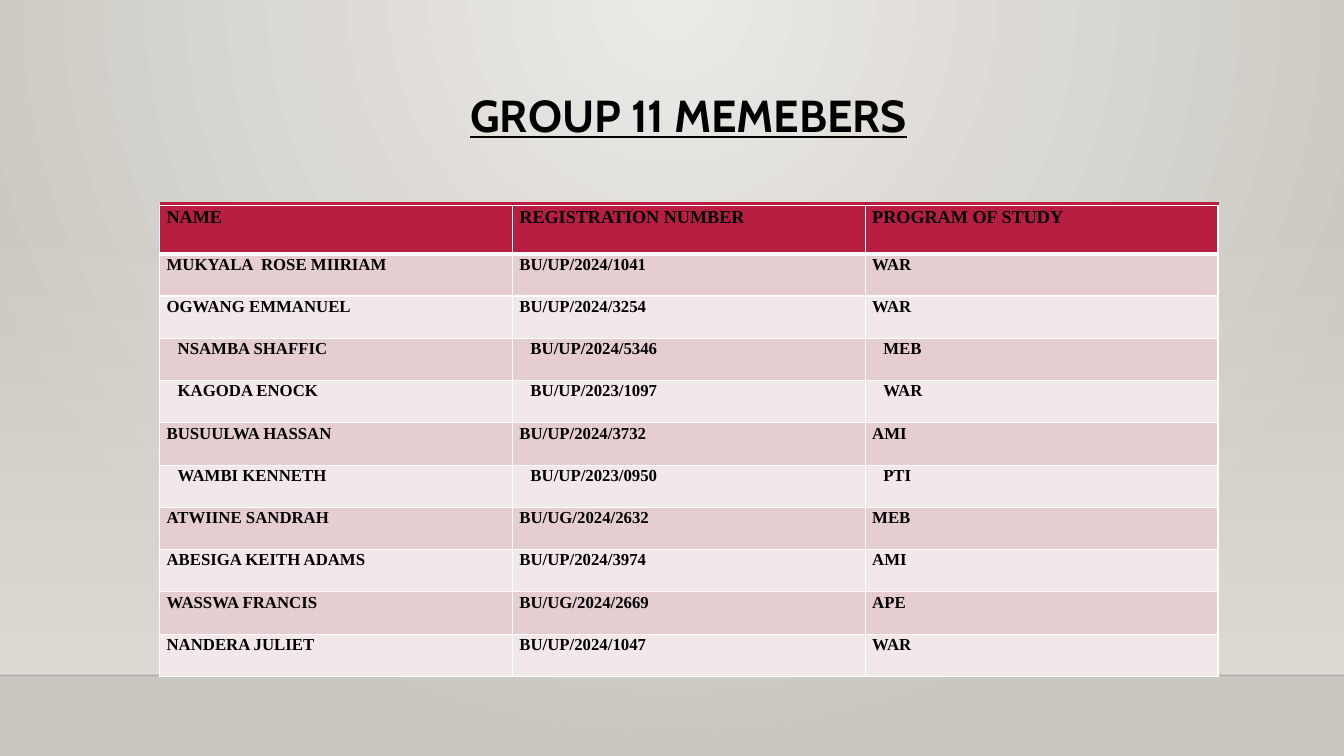
from dataclasses import dataclass

from lxml.etree import SubElement
from pptx import Presentation
from pptx.dml.color import RGBColor
from pptx.enum.shapes import MSO_CONNECTOR, MSO_SHAPE
from pptx.enum.text import MSO_ANCHOR, PP_ALIGN
from pptx.oxml.ns import qn
from pptx.util import Pt


@dataclass(frozen=True)
class Theme:
    """Colours, fonts and type sizes of the deck."""
    ink: str = "000000"
    accent: str = "B71E42"
    border: str = "FFFFFF"
    bands: tuple = ("E6CDCF", "F3E8E9")
    glow: str = "ECEAE7"
    edge: str = "CAC7C1"
    wall: str = "DFDBD5"
    floor_line: str = "000001"
    title_font: str = "Cabin"
    table_font: str = "Times New Roman"
    title_size: float = 32
    header_size: float = 13
    body_size: float = 12


@dataclass(frozen=True)
class Box:
    """A rectangle in points."""
    left: float
    top: float
    width: float
    height: float

    def lengths(self):
        """Return the four sides as lengths."""
        return Pt(self.left), Pt(self.top), Pt(self.width), Pt(self.height)


THEME = Theme()
PAGE = Box(0, 0, 960, 540)
WALL = Box(0, 159, 960, 323.4)
TITLE = Box(114, 63.4, 756, 83.5)
TABLE = Box(114, 146.9, 756, 336.4)
HEADER_HEIGHT = 34.4
HEADINGS = ("NAME", "REGISTRATION NUMBER", "PROGRAM OF STUDY")
MEMBERS = (
    ("MUKYALA  ROSE MIIRIAM", "BU/UP/2024/1041", "WAR"),
    ("OGWANG EMMANUEL", "BU/UP/2024/3254", "WAR"),
    ("NSAMBA SHAFFIC", "BU/UP/2024/5346", "MEB"),
    ("KAGODA ENOCK", "BU/UP/2023/1097", "WAR"),
    ("BUSUULWA HASSAN", "BU/UP/2024/3732", "AMI"),
    ("WAMBI KENNETH", "BU/UP/2023/0950", "PTI"),
    ("ATWIINE SANDRAH", "BU/UG/2024/2632", "MEB"),
    ("ABESIGA KEITH ADAMS", "BU/UP/2024/3974", "AMI"),
    ("WASSWA FRANCIS", "BU/UG/2024/2669", "APE"),
    ("NANDERA JULIET", "BU/UP/2024/1047", "WAR"),
)
INDENTED_ROWS = (3, 4, 6)


def color(value):
    """Turn a hex value into a colour."""
    return RGBColor.from_string(value)


def set_alpha(element, percent):
    """Set the opacity of the first colour inside an element."""
    SubElement(element.find(".//" + qn("a:srgbClr")), qn("a:alpha"), val=str(percent * 1000))


def set_gradient(fill, first, last):
    """Give a fill a gradient of two colours."""
    fill.gradient()
    for stop, position, value in zip(fill.gradient_stops, (0, 1), (first, last)):
        stop.position = position
        stop.color.rgb = color(value)


def style_font(font, name, size):
    """Apply the bold ink type style."""
    font.name, font.size, font.bold = name, Pt(size), True
    font.color.rgb = color(THEME.ink)


def add_rule(page, left, top, width, value, weight):
    """Draw a horizontal line and return it."""
    rule = page.shapes.add_connector(
        MSO_CONNECTOR.STRAIGHT, Pt(left), Pt(top), Pt(left + width), Pt(top))
    rule.line.color.rgb = color(value)
    rule.line.width = Pt(weight)
    SubElement(rule.element.spPr, qn("a:effectLst"))
    return rule


def add_backdrop(page, box):
    """Paint the round glow, the wall in the box and the floor line."""
    set_gradient(page.background.fill, THEME.glow, THEME.edge)
    gradient = page.element.find(".//" + qn("a:gradFill"))
    gradient.remove(gradient.find(qn("a:lin")))
    circle = SubElement(gradient, qn("a:path"), {"path": "circle"})
    SubElement(circle, qn("a:fillToRect"), l="43000", t="0", r="43000", b="100000")

    wall = page.shapes.add_shape(MSO_SHAPE.RECTANGLE, *box.lengths())
    wall.shadow.inherit = False
    wall.line.fill.background()
    set_gradient(wall.fill, THEME.wall, THEME.wall)
    wall.fill.gradient_angle = 270
    set_alpha(wall.element.spPr, 0)

    floor = add_rule(page, box.left, box.top + box.height, box.width, THEME.floor_line, 1)
    set_alpha(floor.element.spPr, 20)


def add_title(page, box, text):
    """Write the underlined title and the accent rule below it."""
    add_rule(page, box.left + 0.5, box.top + box.height - 1.5, box.width, THEME.accent, 2.5)
    frame = page.shapes.add_textbox(*box.lengths()).text_frame
    frame.word_wrap = True
    frame.vertical_anchor = MSO_ANCHOR.TOP
    para = frame.paragraphs[0]
    para.text = text
    para.alignment = PP_ALIGN.CENTER
    para.line_spacing = 0.9
    style_font(para.font, THEME.title_font, THEME.title_size)
    para.font.underline = True


def set_borders(cell, weights):
    """Draw the borders of a cell from weights by side."""
    properties = cell._tc.get_or_add_tcPr()
    for side, weight in weights.items():
        line = SubElement(properties, qn(f"a:ln{side}"), w=str(Pt(weight)))
        SubElement(SubElement(line, qn("a:solidFill")), qn("a:srgbClr"), val=THEME.border)


def fill_cell(cell, text, row):
    """Write and style one cell according to its row."""
    header = row == 0
    cell.margin_left = cell.margin_right = Pt(5)
    cell.margin_top = cell.margin_bottom = 0
    set_borders(cell, {"L": 1, "R": 1, "T": 3 if row == 1 else 1, "B": 3 if header else 1})
    cell.fill.solid()
    cell.fill.fore_color.rgb = color(THEME.accent if header else THEME.bands[(row - 1) % 2])
    para = cell.text_frame.paragraphs[0]
    para.text = text
    para.line_spacing = 1.07
    para.space_after = Pt(6.5)
    style_font(para.font, THEME.table_font, THEME.header_size if header else THEME.body_size)
    if row in INDENTED_ROWS:
        properties = para._p.get_or_add_pPr()
        properties.set("marL", str(Pt(7.2)))
        properties.set("indent", str(Pt(0.7)))


def add_members(page, box):
    """Lay out the member table in the box."""
    records = (HEADINGS, *MEMBERS)
    table = page.shapes.add_table(len(records), len(HEADINGS), *box.lengths()).table
    table.horz_banding = False
    for column in table.columns:
        column.width = Pt(box.width / len(HEADINGS))
    row_height = (box.height - HEADER_HEIGHT) / len(MEMBERS)
    for index, record in enumerate(records):
        table.rows[index].height = Pt(row_height if index else HEADER_HEIGHT)
        for column, text in enumerate(record):
            fill_cell(table.cell(index, column), text, index)


def main():
    """Build and save the deck."""
    deck = Presentation()
    deck.slide_width, deck.slide_height = Pt(PAGE.width), Pt(PAGE.height)
    page = deck.slides.add_slide(deck.slide_layouts[6])
    add_backdrop(page, WALL)
    add_title(page, TITLE, "GROUP 11 MEMEBERS")
    add_members(page, TABLE)
    deck.save("out.pptx")


if __name__ == "__main__":
    main()
